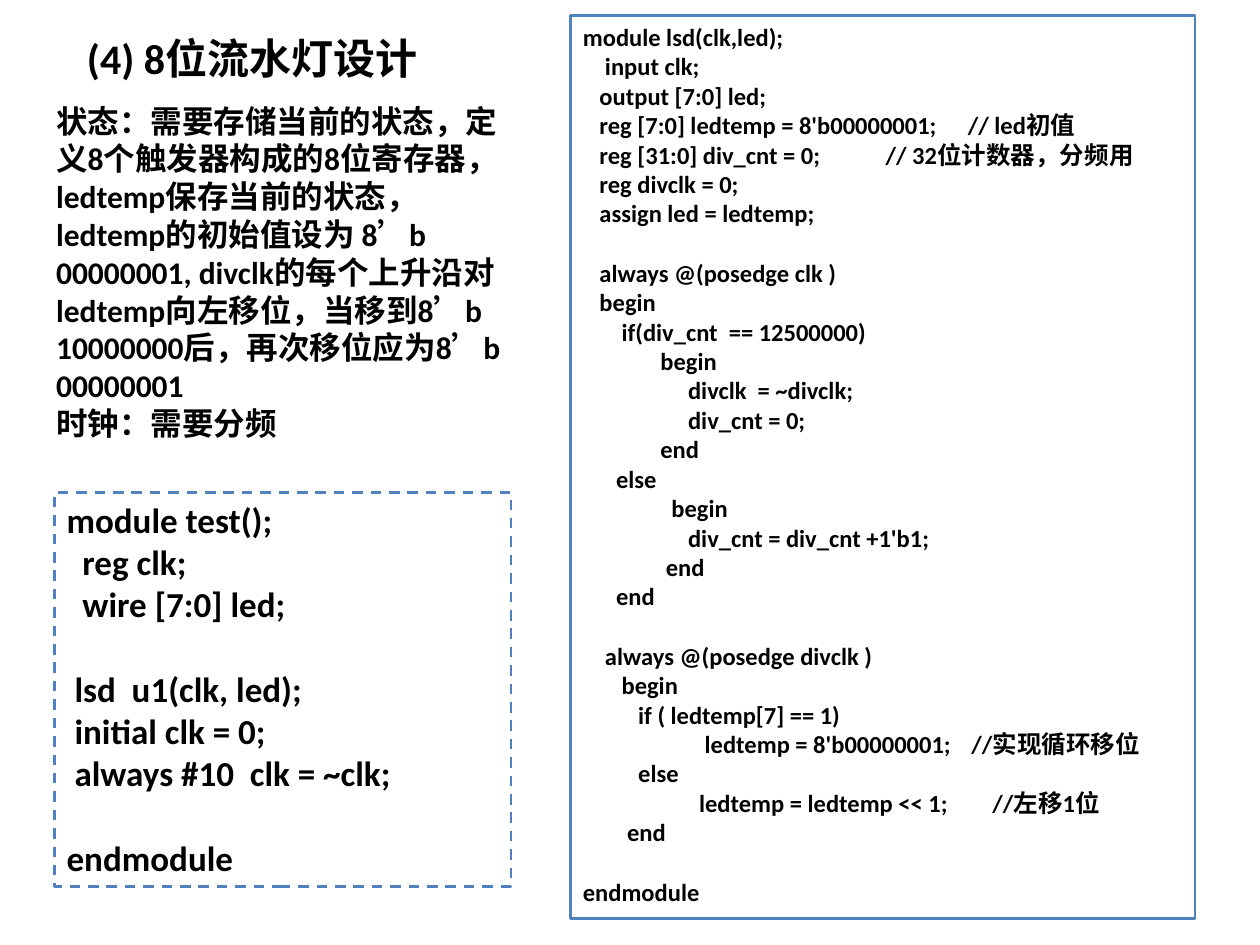
from lxml.etree import SubElement
from pptx import Presentation
from pptx.dml.color import RGBColor
from pptx.enum.dml import MSO_LINE
from pptx.enum.lang import MSO_LANGUAGE_ID
from pptx.enum.shapes import MSO_SHAPE
from pptx.enum.text import MSO_ANCHOR, MSO_AUTO_SIZE, PP_ALIGN
from pptx.oxml.ns import qn
from pptx.util import Pt

SPACE_EM = 0.226  # width of a space
LINE_EM = 1.22    # height of a line

BODY = [
    "状态：需要存储当前的状态，定义8个触发器构成的8位寄存器，ledtemp保存当前的状态， "
    "ledtemp的初始值设为 8’b 00000001, divclk的每个上升沿对ledtemp向左移位，"
    "当移到8’b 10000000后，再次移位应为8’b 00000001",
    "时钟：需要分频",
]

# Blocks of lines: (indent in spaces, code[, comment, comment position in points])
TEST_CODE = [
    [(0, "module test();"), (2, "reg clk;"), (2, "wire [7:0] led;")],
    [(1, "lsd  u1(clk, led);"), (1, "initial clk = 0;"),
     (1, "always #10  clk = ~clk;")],
    [(0, "endmodule")],
]
LED_CODE = [
    [(0, "module lsd(clk,led);"),
     (4, "input clk;"),
     (3, "output [7:0] led;"),
     (3, "reg [7:0] ledtemp = 8'b00000001;", "// led初值", 220),
     (3, "reg [31:0] div_cnt = 0;", "// 32位计数器，分频用", 173),
     (3, "reg divclk = 0;"),
     (3, "assign led = ledtemp;")],
    [(3, "always @(posedge clk )"),
     (3, "begin"),
     (7, "if(div_cnt  == 12500000)"),
     (14, "begin"),
     (19, "divclk  = ~divclk;"),
     (19, "div_cnt = 0;"),
     (14, "end"),
     (6, "else"),
     (16, "begin"),
     (19, "div_cnt = div_cnt +1'b1;"),
     (15, "end"),
     (6, "end")],
    [(4, "always @(posedge divclk )"),
     (7, "begin"),
     (10, "if ( ledtemp[7] == 1)"),
     (22, "ledtemp = 8'b00000001;", "//实现循环移位", 222),
     (10, "else"),
     (21, "ledtemp = ledtemp << 1;", "//左移1位", 234),
     (8, "end")],
    [(0, "endmodule")],
]


def rgb(hex_color):
    return RGBColor.from_string(hex_color)


def add_tab_stops(p, stops):
    tabs = SubElement(p._p.get_or_add_pPr(), qn("a:tabLst"))
    for stop in stops:
        SubElement(tabs, qn("a:tab"), pos=str(Pt(stop)), algn="l")


class Deck:
    font, ink, accent, paper = "Calibri", "000000", "4F81BD", "FFFFFF"

    def __init__(self):
        self.prs = Presentation()
        self.prs.slide_width, self.prs.slide_height = Pt(720), Pt(540)
        self.s = self.prs.slides.add_slide(self.prs.slide_layouts[5])

    def frame(self, sp):
        tf = sp.text_frame
        tf.word_wrap = True
        tf.auto_size = MSO_AUTO_SIZE.NONE
        tf.vertical_anchor = MSO_ANCHOR.TOP
        return tf

    def format(self, p, size):
        p.alignment = PP_ALIGN.LEFT
        f = p.font
        f.name, f.size, f.bold = self.font, Pt(size), True
        f.color.rgb = rgb(self.ink)
        f.language_id = MSO_LANGUAGE_ID.SIMPLIFIED_CHINESE

    def title(self, text, x, y, w, h, size):
        sp = self.s.shapes.title
        sp.left, sp.top, sp.width, sp.height = Pt(x), Pt(y), Pt(w), Pt(h)
        tf = self.frame(sp)
        tf.text = text
        self.format(tf.paragraphs[0], size)

    def text(self, paragraphs, x, y, w, h, size):
        tf = self.frame(self.s.shapes.add_textbox(Pt(x), Pt(y), Pt(w), Pt(h)))
        tf.text = "\n".join(paragraphs)
        for p in tf.paragraphs:
            self.format(p, size)

    def code(self, blocks, x, y, w, h, size, fill=None, dash=None):
        """Boxed listing: tab stops set indents and comments, spacing parts the blocks."""
        sp = self.s.shapes.add_shape(MSO_SHAPE.RECTANGLE, Pt(x), Pt(y), Pt(w), Pt(h))
        sp.shadow.inherit = False
        if fill:
            sp.fill.solid()
            sp.fill.fore_color.rgb = rgb(fill)
        else:
            sp.fill.background()
        sp.line.color.rgb = rgb(self.accent)
        sp.line.width = Pt(1.5)
        if dash:
            sp.line.dash_style = dash
        tf = self.frame(sp)
        p = tf.paragraphs[0]
        for b, block in enumerate(blocks):
            for i, (indent, line, *comment) in enumerate(block):
                if b or i:
                    p = tf.add_paragraph()
                stops = [indent * SPACE_EM * size] if indent else []
                p.text = "\t" * len(stops) + line
                if comment:
                    p.add_run().text = "\t" + comment[0]
                    stops.append(comment[1])
                if stops:
                    add_tab_stops(p, stops)
                if b and i == 0:
                    p.space_before = Pt(round(LINE_EM * size, 1))
                self.format(p, size)


def main():
    deck = Deck()
    deck.title("(4) 8位流水灯设计", 42.5, 15, 255, 36, 24)
    deck.text(BODY, 25, 54.5, 272, 204, 18)
    deck.code(TEST_CODE, 31, 281.5, 261, 225, 20, deck.paper, MSO_LINE.DASH)
    deck.code(LED_CODE, 326, 9, 357, 516, 14)
    deck.prs.save("out.pptx")


if __name__ == "__main__":
    main()
